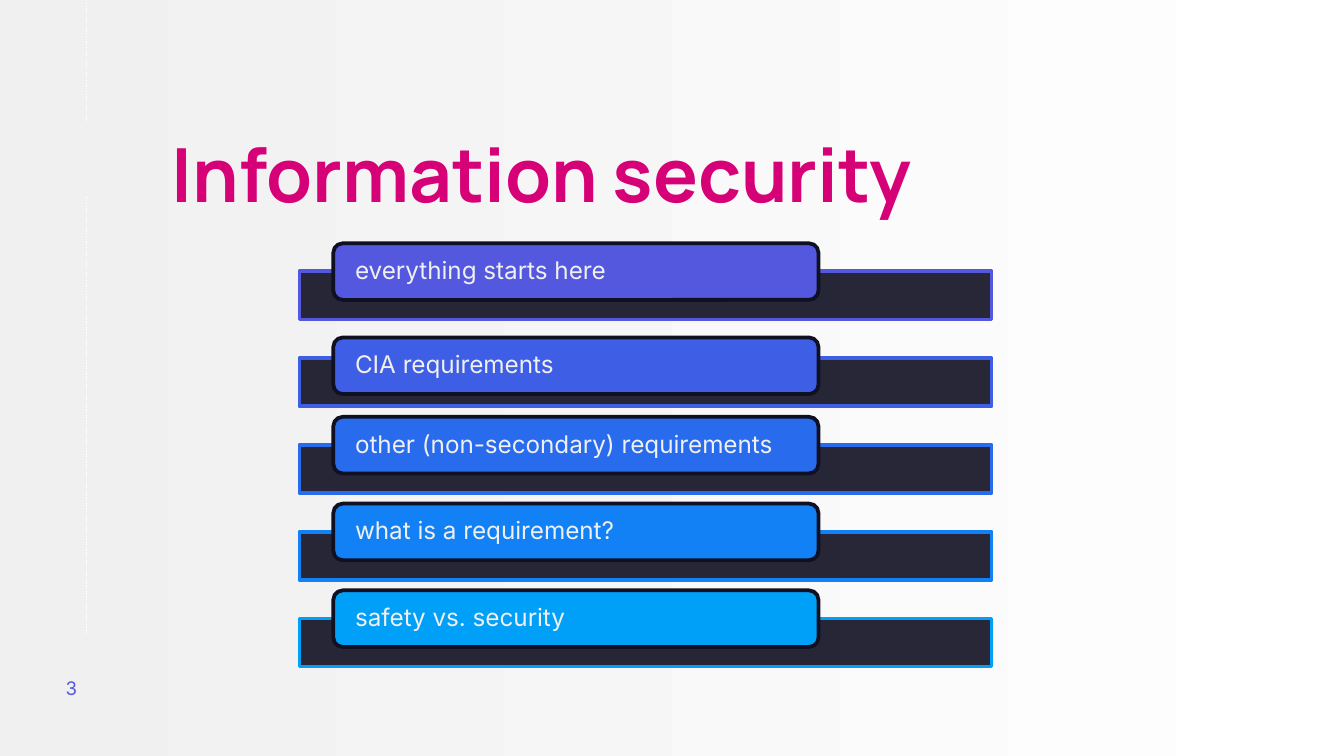
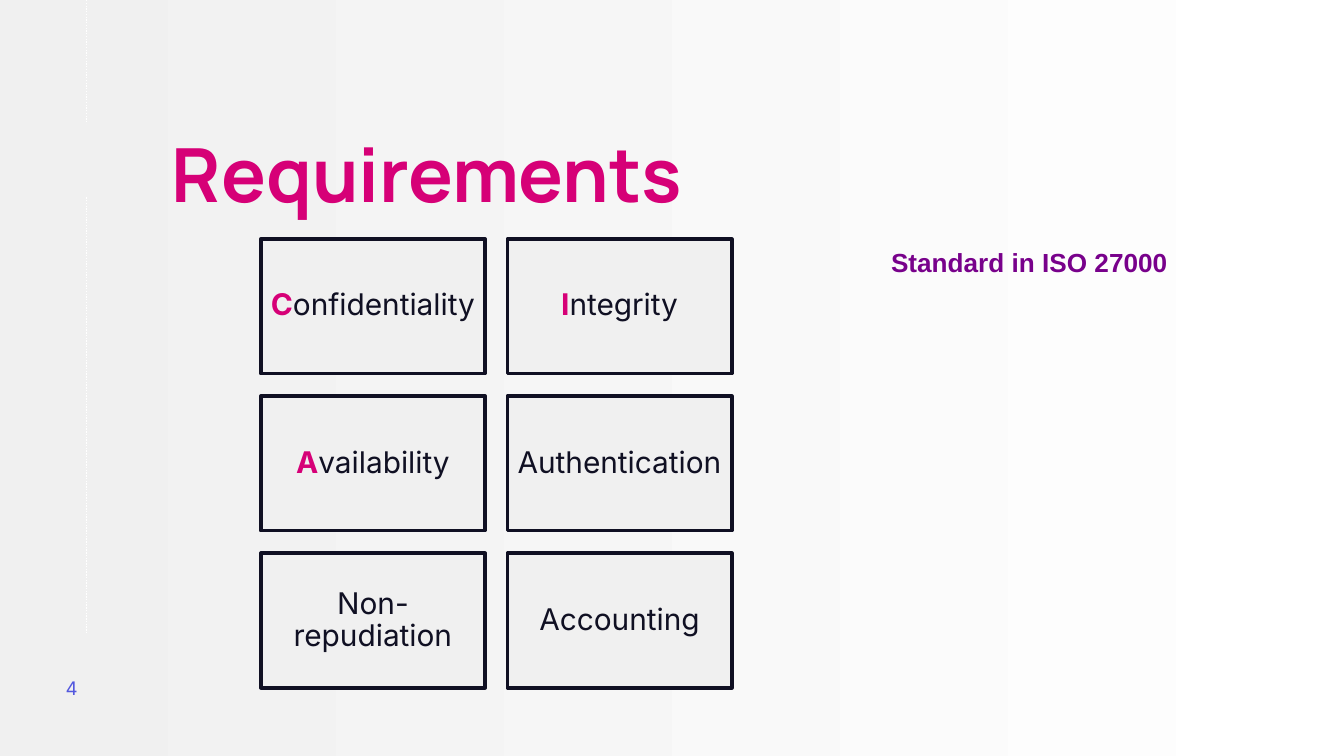
from lxml.etree import SubElement
from pptx import Presentation
from pptx.dml.color import RGBColor
from pptx.enum.dml import MSO_LINE
from pptx.enum.shapes import MSO_CONNECTOR, MSO_SHAPE
from pptx.enum.text import MSO_ANCHOR, MSO_AUTO_SIZE, PP_ALIGN
from pptx.oxml.ns import qn
from pptx.util import Cm, Pt

HUES = {
    "white": "FFFFFF", "pale": "F0F0F0", "dark": "101023",
    "pink": "D60077", "indigo": "5358DE", "plum": "78018B",
    "royal": "3E5EE5", "blue": "286BEC", "azure": "1181F5", "sky": "00A0F8",
}


def rgb(hue):
    return RGBColor.from_string(HUES[hue])


class Deck:
    """Holds the shared style and the current slide."""

    def __init__(self):
        self.prs = Presentation()
        self.prs.slide_width, self.prs.slide_height = Cm(25.4), Cm(14.29)
        self.slide = None

    def start(self, title, page):
        self.slide = self.prs.slides.add_slide(self.prs.slide_layouts[5])
        # Background fades from pale on the left to white on the right
        fill = self.slide.background.fill
        fill.gradient()
        fill.gradient_angle = 180
        for stop, hue, place in zip(fill.gradient_stops, ("white", "pale"), (0, 1)):
            stop.color.rgb, stop.position = rgb(hue), place
        # Dotted margin, broken in two
        self.rule(1.63, 0, 2.34)
        self.rule(1.63, 3.73, 11.96)
        # Page number
        box = self.slide.shapes.add_textbox(Cm(0.99), Cm(12.47), Cm(1.52), Cm(1.09))
        self.label(box, [(page, "indigo", False)], 10, pad=(0.25, 0.25))
        # Title
        head = self.slide.shapes.title
        head.left, head.top, head.width, head.height = Cm(3), Cm(2.49), Cm(16.59), Cm(1.88)
        self.label(head, [(title, "pink", True)], 40, "Manrope", pad=(0.25, 0.25),
                   anchor=MSO_ANCHOR.TOP, space=0.8)

    def rule(self, x, top, end):
        line = self.slide.shapes.add_connector(
            MSO_CONNECTOR.STRAIGHT, Cm(x), Cm(top), Cm(x), Cm(end))
        line.line.color.rgb = rgb("white")
        line.line.width = Pt(0.75)
        line.line.dash_style = MSO_LINE.ROUND_DOT
        SubElement(line._element.spPr, qn("a:effectLst"))

    def block(self, kind, x, y, w, h, fill, edge, alpha=100):
        shape = self.slide.shapes.add_shape(kind, Cm(x), Cm(y), Cm(w), Cm(h))
        shape.shadow.inherit = False
        shape.fill.solid()
        shape.fill.fore_color.rgb = rgb(fill)
        shape.line.color.rgb = rgb(edge)
        shape.line.width = Pt(2)
        if alpha < 100:
            tint = shape._element.spPr.find(qn("a:solidFill"))[0]
            SubElement(tint, qn("a:alpha"), val=str(alpha * 1000))
        return shape

    def label(self, shape, runs, size, font="Inter", align=PP_ALIGN.LEFT,
              pad=(0.25, 0.13), anchor=MSO_ANCHOR.MIDDLE, space=None, wrap=True):
        """Fill a shape with one paragraph of (text, hue, bold) runs."""
        frame = shape.text_frame
        frame.auto_size = MSO_AUTO_SIZE.NONE if wrap else MSO_AUTO_SIZE.SHAPE_TO_FIT_TEXT
        frame.word_wrap, frame.vertical_anchor = wrap, anchor
        frame.margin_left = frame.margin_right = Cm(pad[0])
        frame.margin_top = frame.margin_bottom = Cm(pad[1])
        para = frame.paragraphs[0]
        para.alignment, para.line_spacing = align, space
        para.font.name, para.font.size = font, Pt(size)
        for text, hue, bold in runs:
            run = para.add_run()
            run.text = text
            # One run is styled through its paragraph
            style = run.font if len(runs) > 1 else para.font
            style.color.rgb, style.bold = rgb(hue), bold

    def topic(self, y, text, hue, lift):
        """A dark bar with a coloured tab that overlaps its top edge."""
        self.block(MSO_SHAPE.RECTANGLE, 5.66, y, 13.08, 0.91, "dark", hue, 90)
        tab = self.block(MSO_SHAPE.ROUNDED_RECTANGLE, 6.3, y - lift, 9.17, 1.07, hue, "dark")
        self.label(tab, [(text, "pale", False)], 13, pad=(0.36, 0), space=0.9)

    def card(self, x, y, text, marked):
        runs = [(text, "dark", False)]
        if marked:
            runs = [(text[0], "pink", True), (text[1:], "dark", False)]
        card = self.block(MSO_SHAPE.RECTANGLE, x, y, 4.24, 2.54, "pale", "dark")
        self.label(card, runs, 16, align=PP_ALIGN.CENTER, pad=(0.17, 0.17), space=0.9)

    def note(self, x, y, w, h, text):
        box = self.slide.shapes.add_textbox(Cm(x), Cm(y), Cm(w), Cm(h))
        self.label(box, [(text, "plum", True)], 14, "Arial",
                   anchor=MSO_ANCHOR.TOP, wrap=False)


def main():
    deck = Deck()

    # Topics: text, colour, rise of the tab above its bar
    deck.start("Information security", "3")
    topics = [
        ("everything starts here", "indigo", 0.53),
        ("CIA requirements", "royal", 0.39),
        ("other (non-secondary) requirements", "blue", 0.53),
        ("what is a requirement?", "azure", 0.53),
        ("safety vs. security", "sky", 0.53),
    ]
    for row, (text, hue, lift) in enumerate(topics):
        deck.topic(5.13 + 1.64 * row, text, hue, lift)

    # Requirements in two columns, the first three marked as CIA
    deck.start("Requirements", "4")
    needs = ["Confidentiality", "Integrity", "Availability",
             "Authentication", "Non-repudiation", "Accounting"]
    for i, text in enumerate(needs):
        row, col = divmod(i, 2)
        deck.card(4.93 + 4.66 * col, 4.52 + 2.97 * row, text, i < 3)
    deck.note(16.59, 4.52, 5.77, 0.86, "Standard in ISO 27000")

    deck.prs.save("out.pptx")


if __name__ == "__main__":
    main()
